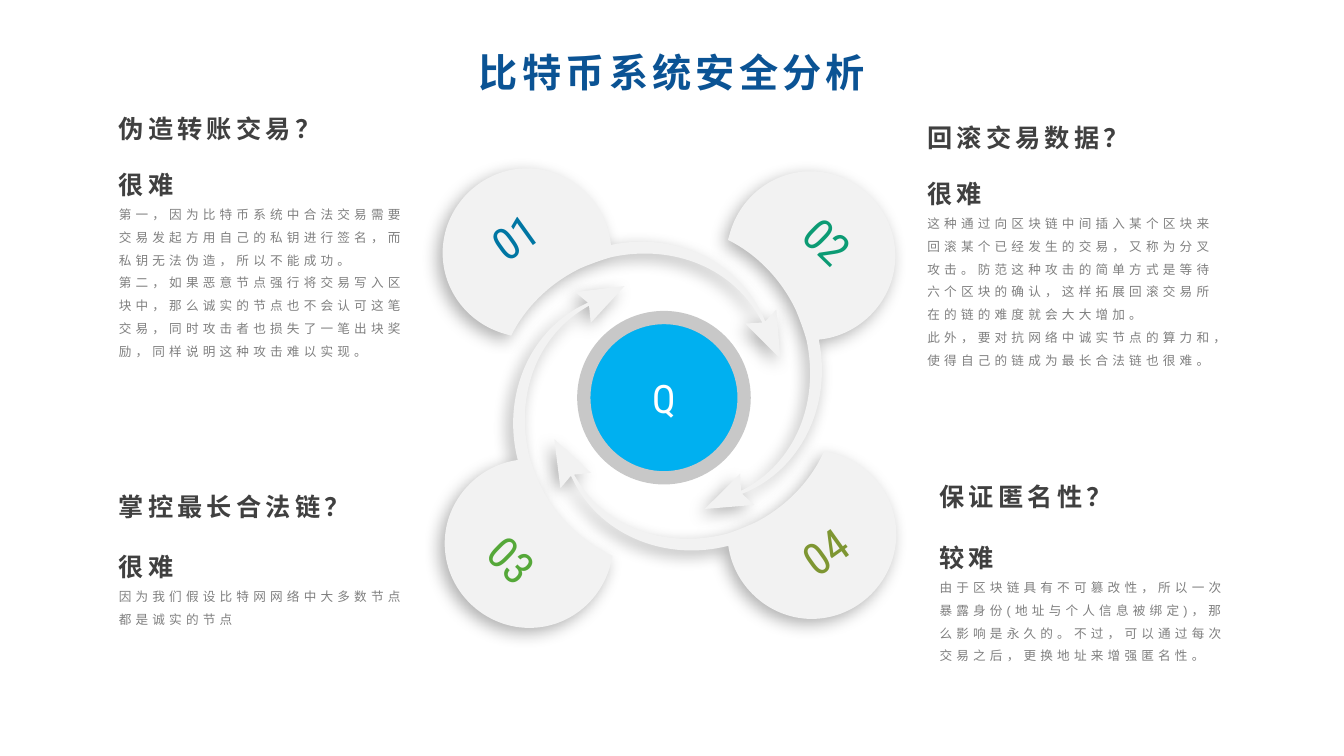
import math
import lxml.etree
import pptx
import pptx.dml.color
import pptx.enum.shapes
import pptx.enum.text
import pptx.oxml.ns
import pptx.util

RGB = pptx.dml.color.RGBColor
Inches = pptx.util.Inches
ALIGN = pptx.enum.text.PP_ALIGN
ANCHOR = pptx.enum.text.MSO_ANCHOR

NAVY = RGB(0x0B, 0x53, 0x94)
DARK = RGB(0x40, 0x40, 0x40)
GRAY = RGB(0x80, 0x80, 0x80)
PALE = RGB(0xF2, 0xF2, 0xF2)
RING = RGB(0xC8, 0xC8, 0xC8)
SKY = RGB(0x00, 0xB0, 0xF0)
WHITE = RGB(0xFF, 0xFF, 0xFF)
BLUE = RGB(0x00, 0x76, 0xA3)
TEAL = RGB(0x0C, 0x9B, 0x74)
GREEN = RGB(0x55, 0xA8, 0x39)
OLIVE = RGB(0x7E, 0x96, 0x32)

BLADE = [
    ("moveTo", [(0, -0.84)]),
    ("cubicBezTo", [(0.43, -0.84), (0.79, -0.5), (0.83, -0.08)]),
    ("cubicBezTo", [(1.44, -0.21), (2.07, 0.06), (2.33, 0.61)]),
    ("cubicBezTo", [(2.34, 0.64), (2.35, 0.65), (2.36, 0.68)]),
    ("lnTo", [(2.47, 0.56)]),
    ("lnTo", [(2.51, 1.05)]),
    ("lnTo", [(2.16, 0.7)]),
    ("lnTo", [(2.33, 0.69)]),
    ("cubicBezTo", [(2.06, 0.15), (1.45, -0.09), (0.84, 0.04)]),
    ("cubicBezTo", [(0.84, 0.04), (0.72, 0.07), (0.53, 0.15)]),
    ("cubicBezTo", [(0.22, 0.3), (-0.02, 0.54), (-0.16, 0.82)]),
    ("lnTo", [(-0.23, 0.8)]),
    ("cubicBezTo", [(-0.58, 0.7), (-0.84, 0.38), (-0.84, 0)]),
    ("cubicBezTo", [(-0.84, -0.46), (-0.46, -0.84), (0, -0.84)]),
    ("close", []),
]


def spin(x, y, angle):
    c, s = math.cos(math.radians(angle)), math.sin(math.radians(angle))
    return x * c - y * s, x * s + y * c


def add(parent, tag, **values):
    return lxml.etree.SubElement(parent, pptx.oxml.ns.qn("a:" + tag), **values)


class Slide:
    sans = "Arial"
    slim = "Roboto Condensed"

    def __init__(self, deck):
        self.shapes = deck.slides.add_slide(deck.slide_layouts[6]).shapes

    def run(self, para, text, size, color, font, bold=False, gap=0):
        run = para.add_run()
        run.text = text
        run.font.size = pptx.util.Pt(size)
        run.font.name = font
        run.font.bold = bold
        run.font.color.rgb = color
        if gap:
            run._r.get_or_add_rPr().set("spc", str(gap * 100))

    def text(self, box, lines, space, align=ALIGN.LEFT, grow=True):
        frame = self.shapes.add_textbox(*map(Inches, box)).text_frame
        frame.word_wrap = True
        if grow:
            frame.auto_size = pptx.enum.text.MSO_AUTO_SIZE.SHAPE_TO_FIT_TEXT
        for i, (text, size, color, bold) in enumerate(lines):
            para = frame.add_paragraph() if i else frame.paragraphs[0]
            para.alignment = align
            para.line_spacing = space
            self.run(para, text, size, color, self.sans, bold, 3)

    def label(self, shape, text, size, color):
        frame = shape.text_frame
        frame.word_wrap = True
        frame.vertical_anchor = ANCHOR.MIDDLE
        para = frame.paragraphs[0]
        para.alignment = ALIGN.CENTER
        self.run(para, text, size, color, self.slim)

    def number(self, box, turn, text, color):
        shape = self.shapes.add_textbox(*map(Inches, box))
        shape.rotation = turn
        self.label(shape, text, 32, color)

    def core(self, box, text):
        oval = pptx.enum.shapes.MSO_SHAPE.OVAL
        shape = self.shapes.add_shape(oval, *map(Inches, box))
        shape.shadow.inherit = False
        shape.fill.solid()
        shape.fill.fore_color.rgb = SKY
        shape.line.color.rgb = RING
        shape.line.width = pptx.util.Pt(9.5)
        self.label(shape, text, 28, WHITE)

    def blade(self, hub, turn, box, tilt):
        left, top, wide, tall = map(Inches, box)
        form = self.shapes.build_freeform(left, top)
        form.add_line_segments([(left + wide, top), (left + wide, top + tall),
                                (left, top + tall)], close=True)
        shape = form.convert_to_shape()
        self.curve(shape, hub, turn, box, tilt)
        shape.rotation = tilt
        shape.fill.solid()
        shape.fill.fore_color.rgb = PALE
        shape.line.fill.background()
        self.shade(shape)

    def curve(self, shape, hub, turn, box, tilt):
        left, top, wide, tall = box
        route = shape._element.spPr.find(".//" + pptx.oxml.ns.qn("a:path"))
        for child in list(route):
            route.remove(child)
        for tag, points in BLADE:
            step = add(route, tag)
            for point in points:
                x, y = spin(*point, turn)
                x, y = spin(hub[0] + x - left - wide / 2,
                            hub[1] + y - top - tall / 2, -tilt)
                add(step, "pt", x=str(int(Inches(x + wide / 2))),
                    y=str(int(Inches(y + tall / 2))))

    def shade(self, shape):
        shape.shadow.inherit = False
        effect = shape._element.spPr.find(pptx.oxml.ns.qn("a:effectLst"))
        outer = add(effect, "outerShdw", blurRad="152400", dist="63500",
                    dir="8100000", algn="tr", rotWithShape="0")
        add(add(outer, "srgbClr", val="000000"), "alpha", val="30000")

    def topic(self, head, body, title, grade, notes):
        self.text(head, [(title, 18, DARK, True)], 1.2)
        lines = [(grade, 18, DARK, True)]
        lines += [(note, 9, GRAY, False) for note in notes]
        self.text(body, lines, 1.5)


def main():
    deck = pptx.Presentation()
    deck.slide_width, deck.slide_height = Inches(13.33), Inches(7.5)
    slide = Slide(deck)
    slide.text((4.41, 0.48, 4.51, 0.62),
               [("比特币系统安全分析", 28, NAVY, True)], 0.9, ALIGN.CENTER, False)

    slide.blade((5.23, 2.51), 0, (4.78, 1.28, 2.45, 3.19), 322.6)
    slide.core((5.79, 3.15, 1.59, 1.59), "Q")
    for hub, turn, box, tilt in [
        ((8.05, 5.3), 177.6, (6, 3.43, 2.53, 3.14), 322.6),
        ((8.04, 2.54), 90, (6.47, 1.7, 2.4, 3.23), 50.9),
        ((5.25, 5.39), 267.6, (4.33, 3.02, 2.48, 3.17), 50.9),
    ]:
        slide.blade(hub, turn, box, tilt)

    for box, turn, text, color in [
        ((4.26, 1.71, 1.68, 1.27), 324.3, "01", BLUE),
        ((7.34, 4.84, 1.68, 1.26), 324.3, "04", OLIVE),
        ((7.37, 1.81, 1.68, 1.16), 44.3, "02", TEAL),
        ((4.24, 4.89, 1.68, 1.32), 44.3, "03", GREEN),
    ]:
        slide.number(box, turn, text, color)

    for x, top, low, tall, title, grade, notes in [
        (9.1, 1.1, 1.57, 2.14, "回滚交易数据？", "很难", [
            "这种通过向区块链中间插入某个区块来回滚某个已经发生的交易，又称为分叉攻击。"
            "防范这种攻击的简单方式是等待六个区块的确认，这样拓展回滚交易所在的链的难度就会大大增加。",
            "此外，要对抗网络中诚实节点的算力和，使得自己的链成为最长合法链也很难。"]),
        (9.22, 4.67, 5.18, 1.46, "保证匿名性？", "较难", [
            "由于区块链具有不可篡改性，所以一次暴露身份(地址与个人信息被绑定)，那么影响是永久的。"
            "不过，可以通过每次交易之后，更换地址来增强匿名性。"]),
        (1.08, 1.02, 1.48, 1.92, "伪造转账交易？", "很难", [
            "第一，因为比特币系统中合法交易需要交易发起方用自己的私钥进行签名，"
            "而私钥无法伪造，所以不能成功。",
            "第二，如果恶意节点强行将交易写入区块中，那么诚实的节点也不会认可这笔交易，"
            "同时攻击者也损失了一笔出块奖励，同样说明这种攻击难以实现。"]),
        (1.08, 4.77, 5.27, 1.01, "掌控最长合法链？", "很难", [
            "因为我们假设比特网网络中大多数节点都是诚实的节点"]),
    ]:
        slide.topic((x, top, 2.3, 0.46), (x, low, 3.13, tall), title, grade, notes)

    deck.save("out.pptx")


if __name__ == "__main__":
    main()
